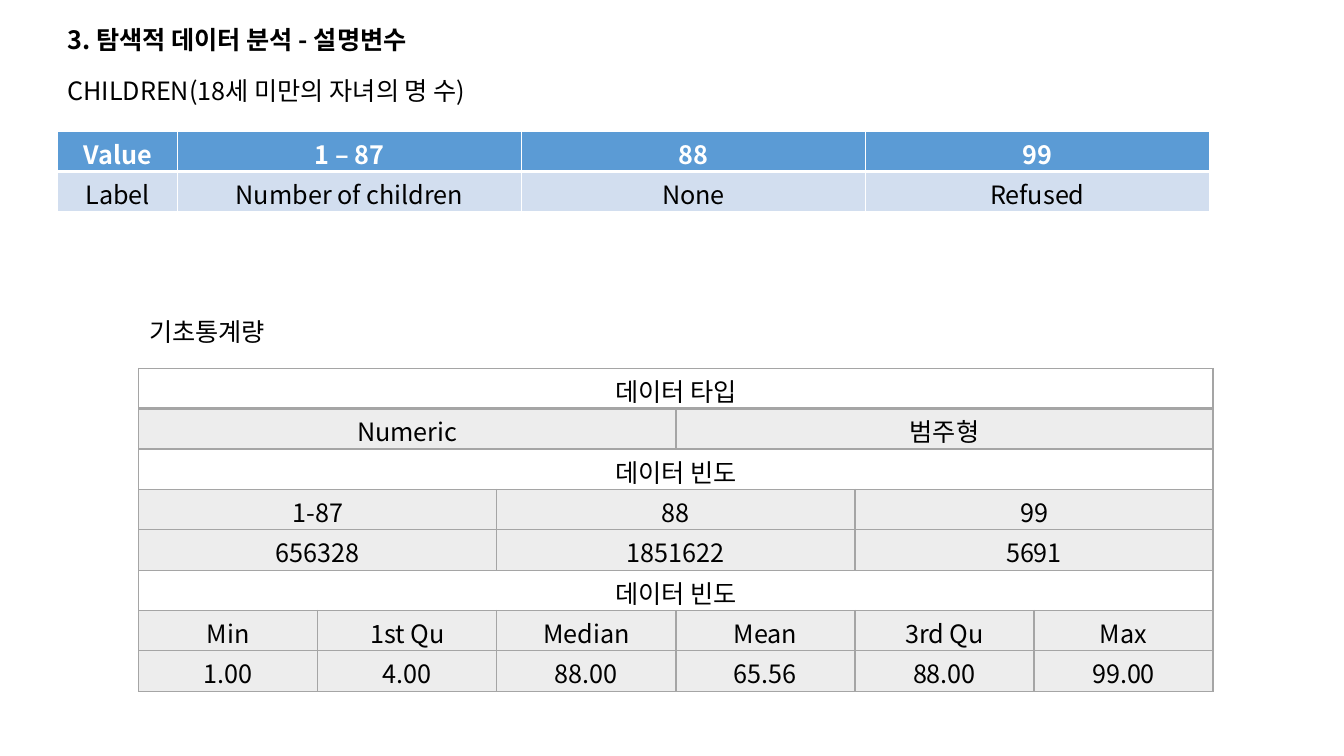
from lxml import etree
from pptx import Presentation
from pptx.dml.color import RGBColor
from pptx.enum.text import MSO_ANCHOR, MSO_AUTO_SIZE, PP_ALIGN
from pptx.oxml.ns import qn
from pptx.util import Pt

LEFT, CENTER = PP_ALIGN.LEFT, PP_ALIGN.CENTER
TOP, NO_FIT = MSO_ANCHOR.TOP, MSO_AUTO_SIZE.NONE

BLACK = RGBColor(0x00, 0x00, 0x00)
WHITE = RGBColor(0xFF, 0xFF, 0xFF)
BLUE = RGBColor(0x5B, 0x9B, 0xD5)
PALE_BLUE = RGBColor(0xD2, 0xDE, 0xEF)
GRAY = RGBColor(0xA5, 0xA5, 0xA5)
PALE_GRAY = RGBColor(0xED, 0xED, 0xED)

FONT = "Noto Sans CJK KR"
ROW_HEIGHT = 28.85


def write(tf, text, color=BLACK, bold=False, align=LEFT):
    p = tf.paragraphs[0]
    p.alignment = align
    r = p.add_run()
    r.text = text
    r.font.name = FONT
    r.font.size = Pt(18)
    r.font.bold = bold
    r.font.color.rgb = color
    etree.SubElement(r._r.get_or_add_rPr(), qn("a:ea"), typeface=FONT)


def add_border(cell, side, color, width):
    tcPr = cell._tc.get_or_add_tcPr()
    ln = etree.SubElement(tcPr, qn("a:ln" + side), w=str(Pt(width)))
    fill = etree.SubElement(ln, qn("a:solidFill"))
    etree.SubElement(fill, qn("a:srgbClr"), val=str(color))


prs = Presentation()
prs.slide_width, prs.slide_height = Pt(960), Pt(540)
s = prs.slides.add_slide(prs.slide_layouts[5])

# Title and captions
title = s.shapes.title
title.left, title.top, title.width, title.height = Pt(41), Pt(17.3), Pt(431.3), Pt(28.8)
children = s.shapes.add_textbox(Pt(41), Pt(54), Pt(859), Pt(28.8))
statistics = s.shapes.add_textbox(Pt(99.4), Pt(226.1), Pt(105.1), Pt(28.8))
for sp, text, bold in [
    (title, "3. 탐색적 데이터 분석 - 설명변수", True),
    (children, "CHILDREN(18세 미만의 자녀의 명 수)", False),
    (statistics, "기초통계량", False),
]:
    tf = sp.text_frame
    tf.word_wrap = sp is not statistics
    tf.auto_size = NO_FIT
    tf.vertical_anchor = TOP
    tf.margin_top = tf.margin_bottom = 0
    write(tf, text, bold=bold)

# Table contents: each row is its texts, its fill and the width of its lower border
value_rows = [
    (["Value", "1 – 87", "88", "99"], BLUE, 3),
    (["Label", "Number of children", "None", "Refused"], PALE_BLUE, 1),
]
statistics_rows = [
    (["데이터 타입"], None, 2),
    (["Numeric", "범주형"], PALE_GRAY, 1),
    (["데이터 빈도"], None, 1),
    (["1-87", "88", "99"], PALE_GRAY, 1),
    (["656328", "1851622", "5691"], PALE_GRAY, 1),
    (["데이터 빈도"], None, 1),
    (["Min", "1st Qu", "Median", "Mean", "3rd Qu", "Max"], PALE_GRAY, 1),
    (["1.00", "4.00", "88.00", "65.56", "88.00", "99.00"], PALE_GRAY, 1),
]

# Both tables; the texts of a row share its columns equally
for left, top, widths, rows, line in [
    (41.3, 93.6, [85.5] + [245.7] * 3, value_rows, WHITE),
    (99.1, 263.1, [127.9] * 6, statistics_rows, GRAY),
]:
    frame = s.shapes.add_table(len(rows), len(widths), Pt(left), Pt(top),
                               Pt(sum(widths)), Pt(ROW_HEIGHT * len(rows)))
    table = frame.table
    table.horz_banding = False
    table.first_row = rows is value_rows
    for column, width in zip(table.columns, widths):
        column.width = Pt(width)

    upper = 1
    for i, (texts, fill, lower) in enumerate(rows):
        table.rows[i].height = Pt(ROW_HEIGHT)
        span = len(widths) // len(texts)
        for j in range(len(widths)):
            cell = table.cell(i, j)
            cell.margin_top, cell.margin_bottom = Pt(2.7), 0
            cell.vertical_anchor = TOP
            for side, width in [("L", 1), ("R", 1), ("T", upper), ("B", lower)]:
                add_border(cell, side, line, width)
            if fill is None:
                cell.fill.background()
            else:
                cell.fill.solid()
                cell.fill.fore_color.rgb = fill
        for k, text in enumerate(texts):
            cell = table.cell(i, k * span)
            if span > 1:
                cell.merge(table.cell(i, (k + 1) * span - 1))
            header = fill == BLUE
            write(cell.text_frame, text, color=WHITE if header else BLACK,
                  bold=header, align=CENTER)
        upper = lower

prs.save("out.pptx")
